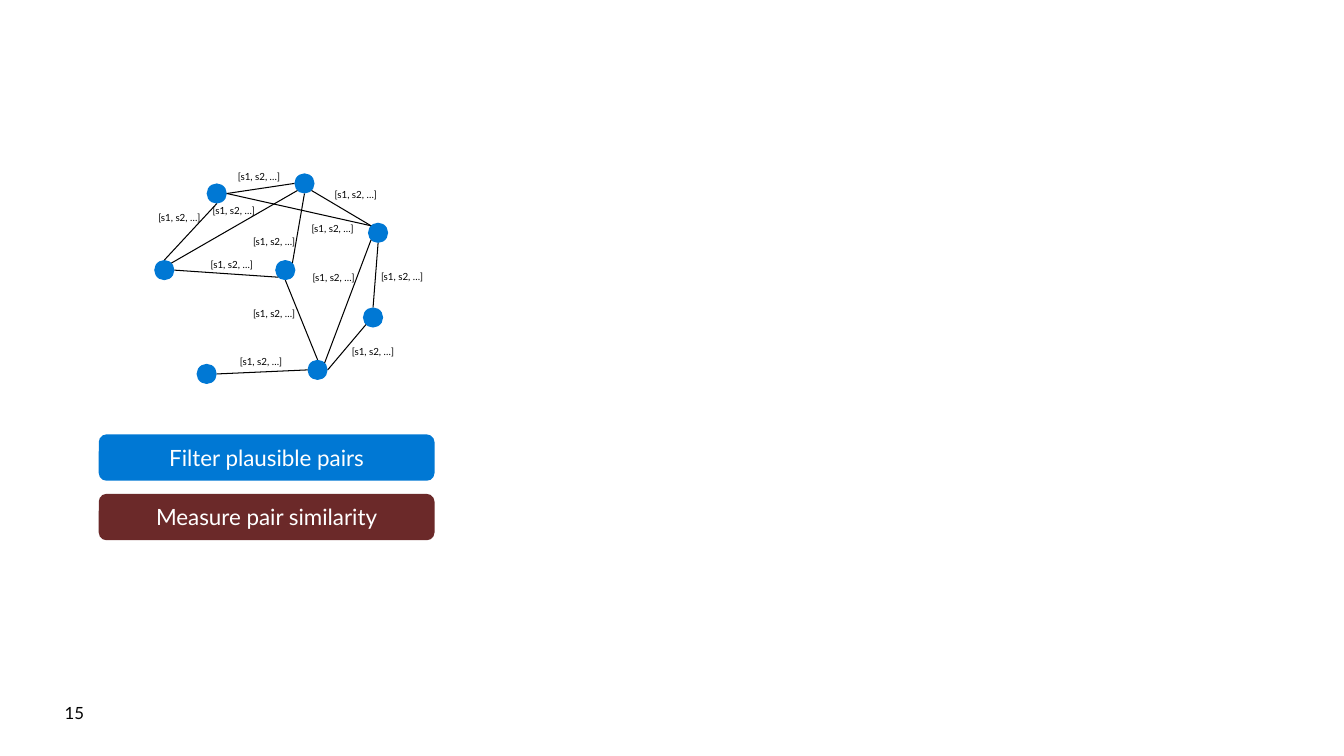
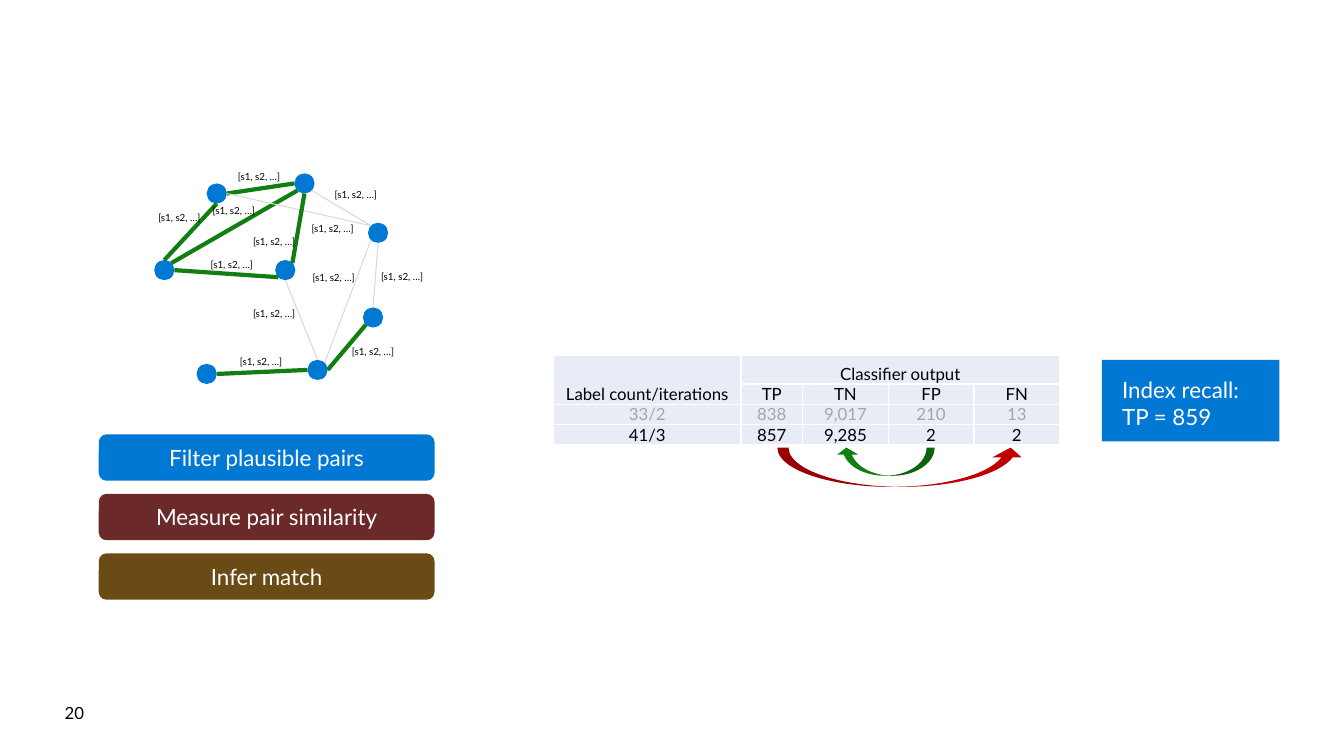
"""Build two slides on matching record pairs in a similarity graph."""
import pptx
import pptx.dml.color
import pptx.enum.shapes
import pptx.enum.text
import pptx.oxml
import pptx.oxml.ns
import pptx.util
from lxml import etree

Inches = pptx.util.Inches
Pt = pptx.util.Pt
RGBColor = pptx.dml.color.RGBColor
Shape = pptx.enum.shapes.MSO_SHAPE
Anchor = pptx.enum.text.MSO_ANCHOR
Align = pptx.enum.text.PP_ALIGN
qn = pptx.oxml.ns.qn

BLACK = RGBColor(0x00, 0x00, 0x00)
WHITE = RGBColor(0xFF, 0xFF, 0xFF)
BLUE = RGBColor(0x00, 0x78, 0xD4)
MAROON = RGBColor(0x6B, 0x29, 0x29)
BROWN = RGBColor(0x6A, 0x4B, 0x16)
GREEN = RGBColor(0x10, 0x7E, 0x10)
RED = RGBColor(0xC0, 0x00, 0x00)
PALE_GRAY = RGBColor(0xD9, 0xD9, 0xD9)
MID_GRAY = RGBColor(0xA6, 0xA6, 0xA6)
PALE_BLUE = RGBColor(0xE7, 0xEC, 0xF7)

RADIUS = 0.1
DIAGONAL = 0.07
SITES = {
    "N": (0, -RADIUS), "S": (0, RADIUS), "W": (-RADIUS, 0), "E": (RADIUS, 0),
    "NE": (DIAGONAL, -DIAGONAL), "NW": (-DIAGONAL, -DIAGONAL),
    "SE": (DIAGONAL, DIAGONAL), "SW": (-DIAGONAL, DIAGONAL),
}
RECORDS = {
    "a": (2.15, 1.92), "b": (3.02, 1.82), "c": (3.75, 2.31), "d": (1.63, 2.68),
    "e": (2.83, 2.68), "f": (3.15, 3.67), "g": (3.7, 3.15), "h": (2.05, 3.71),
}
PAIRS = [
    ("d", "N", "a", "S"), ("b", "SW", "d", "NE"), ("e", "SW", "d", "E"),
    ("b", "W", "a", "E"), ("c", "NW", "a", "E"), ("b", "S", "e", "NE"),
    ("b", "SE", "c", "NW"), ("f", "NE", "c", "SW"), ("g", "N", "c", "S"),
    ("g", "SW", "f", "E"), ("e", "S", "f", "N"), ("f", "W", "h", "E"),
]
MATCHES = {"da", "bd", "ed", "ba", "be", "gf", "fh"}
SCORE_SPOTS = [
    (3.32, 1.87), (3.78, 2.69), (3.49, 3.43), (3.1, 2.7), (3.09, 2.21), (2.51, 2.34),
    (2.09, 2.57), (1.57, 2.1), (2.11, 2.03), (2.36, 1.69), (2.51, 3.05), (2.38, 3.53),
]
STEPS = [
    ("Filter plausible pairs", BLUE),
    ("Measure pair similarity", MAROON),
    ("Infer match", BROWN),
]
COUNTS = [
    ("Label count/iterations", "Classifier output", "", "", ""),
    ("", "TP", "TN", "FP", "FN"),
    ("33/2", "838", "9,017", "210", "13"),
    ("41/3", "857", "9,285", "2", "2"),
]


class Deck:
    """Hold the shared style and the current slide."""

    font_name = "Lato"

    def __init__(self):
        self.presentation = pptx.Presentation()
        self.presentation.slide_width = Inches(13.33)
        self.presentation.slide_height = Inches(7.5)
        self.slide = None

    def start(self, number):
        """Add a slide with its number in the footer."""
        blank = self.presentation.slide_layouts[6]
        self.slide = self.presentation.slides.add_slide(blank)
        self.label(number, 0.64, 6.97, 1.92, 0.2, 12)

    def set_text(self, frame, text, size, color, align=Align.LEFT):
        """Fill a text frame, one paragraph per line."""
        frame.text = text
        for paragraph in frame.paragraphs:
            paragraph.alignment = align
            paragraph.font.name = self.font_name
            paragraph.font.size = Pt(size)
            paragraph.font.color.rgb = color

    def inset(self, holder, across, down):
        """Set the margins of a text frame or cell."""
        holder.margin_left = holder.margin_right = Inches(across)
        holder.margin_top = holder.margin_bottom = Inches(down)

    def label(self, text, left, top, width, height, size):
        """Add plain black text."""
        box = self.slide.shapes.add_textbox(
            Inches(left), Inches(top), Inches(width), Inches(height))
        frame = box.text_frame
        frame.word_wrap = True
        frame.auto_size = pptx.enum.text.MSO_AUTO_SIZE.SHAPE_TO_FIT_TEXT
        self.inset(frame, 0, 0)
        self.set_text(frame, text, size, BLACK)

    def shape(self, kind, left, top, width, height, color):
        """Add a flat filled shape."""
        solid = self.slide.shapes.add_shape(
            kind, Inches(left), Inches(top), Inches(width), Inches(height))
        solid.shadow.inherit = False
        solid.fill.solid()
        solid.fill.fore_color.rgb = color
        solid.line.fill.background()
        return solid

    def panel(self, kind, text, left, top, width, height, color, anchor, align):
        """Add a filled shape with white text."""
        frame = self.shape(kind, left, top, width, height, color).text_frame
        frame.word_wrap = True
        frame.vertical_anchor = anchor
        self.inset(frame, 0.2, 0.16)
        self.set_text(frame, text, 16, WHITE, align)

    def line(self, start, end, color, weight):
        """Add a straight line between two points."""
        edge = self.slide.shapes.add_connector(
            pptx.enum.shapes.MSO_CONNECTOR.STRAIGHT,
            *(Inches(value) for value in (*start, *end)))
        edge.line.color.rgb = color
        edge.line.width = Pt(weight)
        etree.SubElement(edge._element.spPr, qn("a:effectLst"))

    def graph(self, edge_style):
        """Draw records, their pairs and the pair scores."""
        for x, y in RECORDS.values():
            self.shape(Shape.OVAL, x - RADIUS, y - RADIUS, 2 * RADIUS, 2 * RADIUS, BLUE)
        for first, first_site, second, second_site in PAIRS:
            ends = [
                [sum(pair) for pair in zip(RECORDS[record], SITES[site])]
                for record, site in ((first, first_site), (second, second_site))
            ]
            self.line(*ends, *edge_style(first + second))
        for left, top in SCORE_SPOTS:
            self.label("[s1, s2, …]", left, top, 0.63, 0.12, 7)

    def steps(self, count):
        """Stack the first steps of the process."""
        for row, (text, color) in enumerate(STEPS[:count]):
            self.panel(Shape.ROUNDED_RECTANGLE, text, 0.98, 4.31 + 0.59 * row,
                       3.33, 0.46, color, Anchor.MIDDLE, Align.CENTER)

    def table(self, rows, left, top, widths, heights, row_colors):
        """Add a centred table with white rules."""
        grid = self.slide.shapes.add_table(
            len(rows), len(widths), Inches(left), Inches(top),
            Inches(sum(widths)), Inches(sum(heights))).table
        grid.first_row = grid.horz_banding = False
        for column, width in zip(grid.columns, widths):
            column.width = Inches(width)
        for r, texts in enumerate(rows):
            grid.rows[r].height = Inches(heights[r])
            for c, text in enumerate(texts):
                cell = grid.cell(r, c)
                self.inset(cell, 0, 0)
                cell.vertical_anchor = Anchor.BOTTOM
                self.set_text(cell.text_frame, text, 12, row_colors[r], Align.CENTER)
                self.rule(cell)
                cell.fill.solid()
                cell.fill.fore_color.rgb = PALE_BLUE
        return grid

    def rule(self, cell):
        """Give a cell white borders."""
        properties = cell._tc.get_or_add_tcPr()
        for side in ("lnL", "lnR", "lnT", "lnB"):
            border = etree.SubElement(properties, qn("a:" + side), w=str(Pt(1)))
            fill = etree.SubElement(border, qn("a:solidFill"))
            etree.SubElement(fill, qn("a:srgbClr"), val=str(WHITE))

    def swing(self, left, width, height, color, leftward=False):
        """Add a curved arrow below the counts."""
        arrow = self.shape(Shape.CURVED_UP_ARROW, left, 4.44, width, height, color)
        for index, value in enumerate((0.285, 0.748, 0.25)):
            arrow.adjustments[index] = value
        if leftward:
            arrow._element.spPr.find(qn("a:xfrm")).set("flipH", "1")


def match_style(pair):
    """Return the line style of a pair after inference."""
    return (GREEN, 3) if pair in MATCHES else (PALE_GRAY, 0.75)


deck = Deck()

deck.start("15")
deck.graph(lambda pair: (BLACK, 0.75))
deck.steps(2)

deck.start("20")
deck.graph(match_style)
deck.steps(3)
counts = deck.table(COUNTS, 5.49, 3.53, [1.86, 0.61, 0.85, 0.85, 0.85],
                    [0.28, 0.2, 0.2, 0.2], [BLACK, BLACK, MID_GRAY, BLACK])
counts.cell(0, 0).merge(counts.cell(1, 0))
counts.cell(0, 1).merge(counts.cell(0, 4))
deck.panel(Shape.RECTANGLE, "Index recall:\nTP = 859", 10.93, 3.57, 1.76, 0.81,
           BLUE, Anchor.TOP, Align.LEFT)
deck.swing(8.29, 0.98, 0.28, GREEN, leftward=True)
deck.swing(7.71, 2.46, 0.39, RED)

deck.presentation.save("out.pptx")
